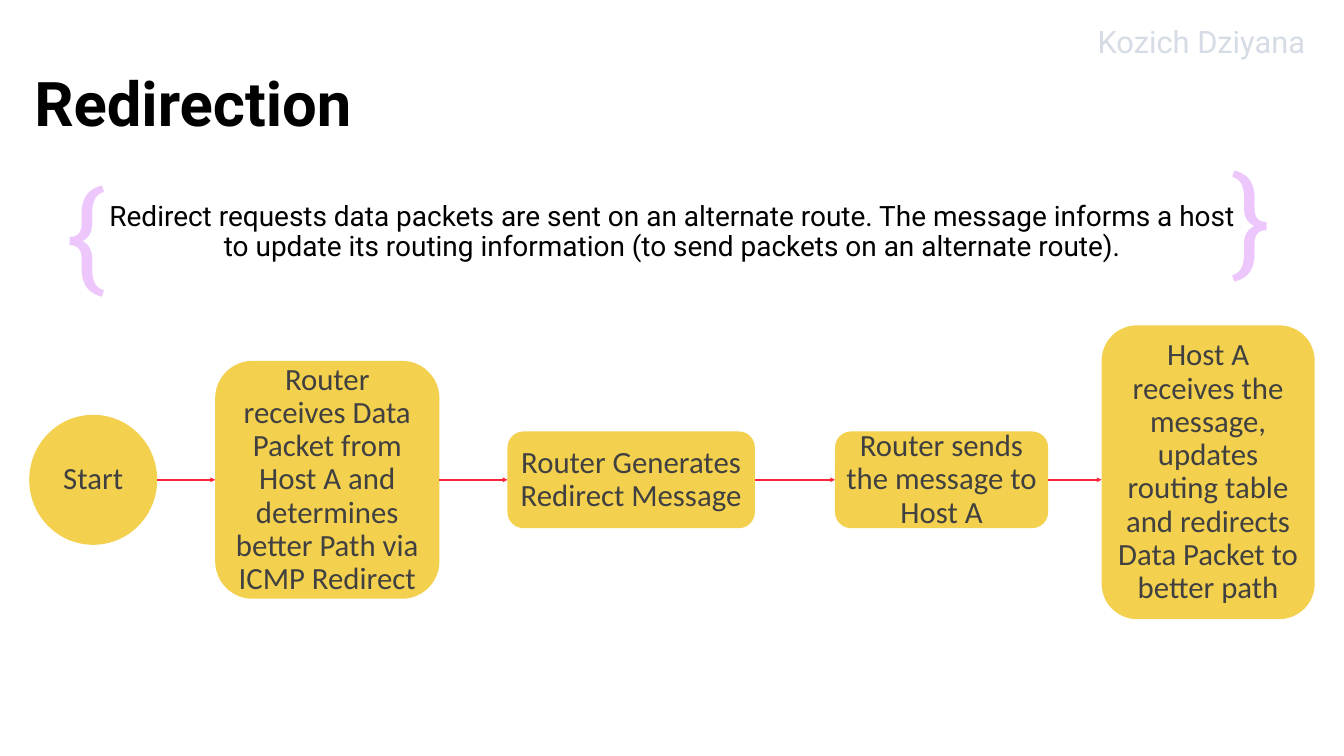
from dataclasses import dataclass

from pptx import Presentation
from pptx.dml.color import RGBColor
from pptx.enum.shapes import MSO_CONNECTOR, MSO_SHAPE
from pptx.enum.text import MSO_ANCHOR as Anchor, MSO_AUTO_SIZE as AutoSize, PP_ALIGN as Align
from pptx.oxml.ns import qn
from pptx.util import Inches, Pt
from lxml.etree import SubElement


@dataclass(frozen=True)
class Theme:
    heading_font: str = "Roboto"
    step_font: str = "Calibri"
    ink: str = "000000"
    step_ink: str = "404040"
    step_fill: str = "F3D04E"
    arrow: str = "FF2439"
    brace: str = "EDC6FB"
    author: str = "D6DCE5"
    title_size: int = 88
    body_size: int = 40
    brace_size: int = 166
    step_size: int = 44
    author_size: int = 44
    arrow_width: float = 2.25


THEME = Theme()
LEFT, TOP, RIGHT, BOTTOM = 1, 0, 3, 2


def place(shape, left, top, width, height):
    shape.left, shape.top = Inches(left), Inches(top)
    shape.width, shape.height = Inches(width), Inches(height)


def write(shape, text, size, color, font=THEME.heading_font, align=Align.LEFT,
          anchor=Anchor.TOP, bold=False, wrap=True):
    frame = shape.text_frame
    frame.word_wrap = wrap
    frame.auto_size = AutoSize.NONE if wrap else AutoSize.SHAPE_TO_FIT_TEXT
    frame.vertical_anchor = anchor
    paragraph = frame.paragraphs[0]
    paragraph.alignment = align
    paragraph.line_spacing = 0.9
    paragraph.space_before = Pt(0)
    run = paragraph.add_run()
    run.text = text
    run.font.name = font
    run.font.size = Pt(size)
    run.font.bold = bold
    run.font.color.rgb = RGBColor.from_string(color)


def add_label(slide, box, text, size, color, anchor=Anchor.TOP, margin=None):
    label = slide.shapes.add_textbox(*map(Inches, box))
    if margin is not None:
        frame = label.text_frame
        frame.margin_left = frame.margin_right = Inches(margin)
        frame.margin_top = frame.margin_bottom = Inches(margin)
    write(label, text, size, color, anchor=anchor, wrap=False)


def add_title(slide, box, text):
    title = slide.shapes.title
    place(title, *box)
    write(title, text, THEME.title_size, THEME.ink, anchor=Anchor.MIDDLE, bold=True)


def add_definition(slide, box, text):
    body = slide.placeholders[1]
    place(body, *box)
    properties = body.text_frame.paragraphs[0]._p.get_or_add_pPr()
    properties.set("marL", "0")
    properties.set("indent", "0")
    SubElement(properties, qn("a:buNone"))
    write(body, text, THEME.body_size, THEME.ink, align=Align.CENTER)

    left, top, width, height = box
    for brace, brace_left, brace_top in (
        ("{", left - 0.63, top - 0.51),
        ("}", left + width - 0.49, top - 0.82),
    ):
        add_label(slide, (brace_left, brace_top, 0.98, 2.63), brace,
                  THEME.brace_size, THEME.brace)


def add_step(slide, kind, box, text):
    step = slide.shapes.add_shape(kind, *map(Inches, box))
    step.shadow.inherit = False
    step.fill.solid()
    step.fill.fore_color.rgb = RGBColor.from_string(THEME.step_fill)
    step.line.fill.background()
    write(step, text, THEME.step_size, THEME.step_ink, THEME.step_font,
          Align.CENTER, Anchor.MIDDLE)
    return step


def add_arrow(slide, source, target, axis):
    y = Inches(axis)
    arrow = slide.shapes.add_connector(
        MSO_CONNECTOR.STRAIGHT, source.left + source.width, y, target.left, y)
    arrow.begin_connect(source, RIGHT)
    if abs(target.top + target.height // 2 - y) < Inches(0.01):
        arrow.end_connect(target, LEFT)
    arrow.line.width = Pt(THEME.arrow_width)
    arrow.line.color.rgb = RGBColor.from_string(THEME.arrow)
    SubElement(arrow.line._get_or_add_ln(), qn("a:tailEnd"), type="triangle")
    SubElement(arrow._element.spPr, qn("a:effectLst"))


def add_flow(slide, box):
    left, top, width, height = box
    axis = top + 3.07
    rounded = MSO_SHAPE.ROUNDED_RECTANGLE
    steps = (
        (MSO_SHAPE.OVAL, 0, 2.54, 2.58, 0, "Start"),
        (rounded, 3.69, 4.45, 4.72, 0,
         "Router receives Data Packet from Host A and determines better Path via ICMP Redirect"),
        (rounded, 9.49, 4.91, 1.92, 0, "Router Generates Redirect Message"),
        (rounded, 15.99, 4.23, 1.92, 0, "Router sends the message to Host A"),
        (rounded, width - 4.23, 4.23, height, -0.15,
         "Host A receives the message, updates routing table and redirects Data Packet to better path"),
    )
    shapes = [
        add_step(slide, kind,
                 (left + x, axis + shift - step_height / 2, step_width, step_height), text)
        for kind, x, step_width, step_height, shift, text in steps
    ]
    for source, target in zip(shapes, shapes[1:]):
        add_arrow(slide, source, target, axis)


def main():
    presentation = Presentation()
    presentation.slide_width = Inches(26.67)
    presentation.slide_height = Inches(15)
    slide = presentation.slides.add_slide(presentation.slide_layouts[1])

    add_title(slide, (0.58, 0.66, 13.57, 2.9), "Redirection")
    add_definition(
        slide, (1.85, 3.96, 22.97, 1.81),
        "Redirect requests data packets are sent on an alternate route. The message informs "
        "a host to update its routing information (to send packets on an alternate route).")
    add_flow(slide, (0.58, 6.45, 25.51, 5.83))
    add_label(slide, (21.72, 0.48, 4.37, 0.78), "Kozich Dziyana", THEME.author_size,
              THEME.author, Anchor.MIDDLE, 0.06)
    presentation.save("out.pptx")


if __name__ == "__main__":
    main()
